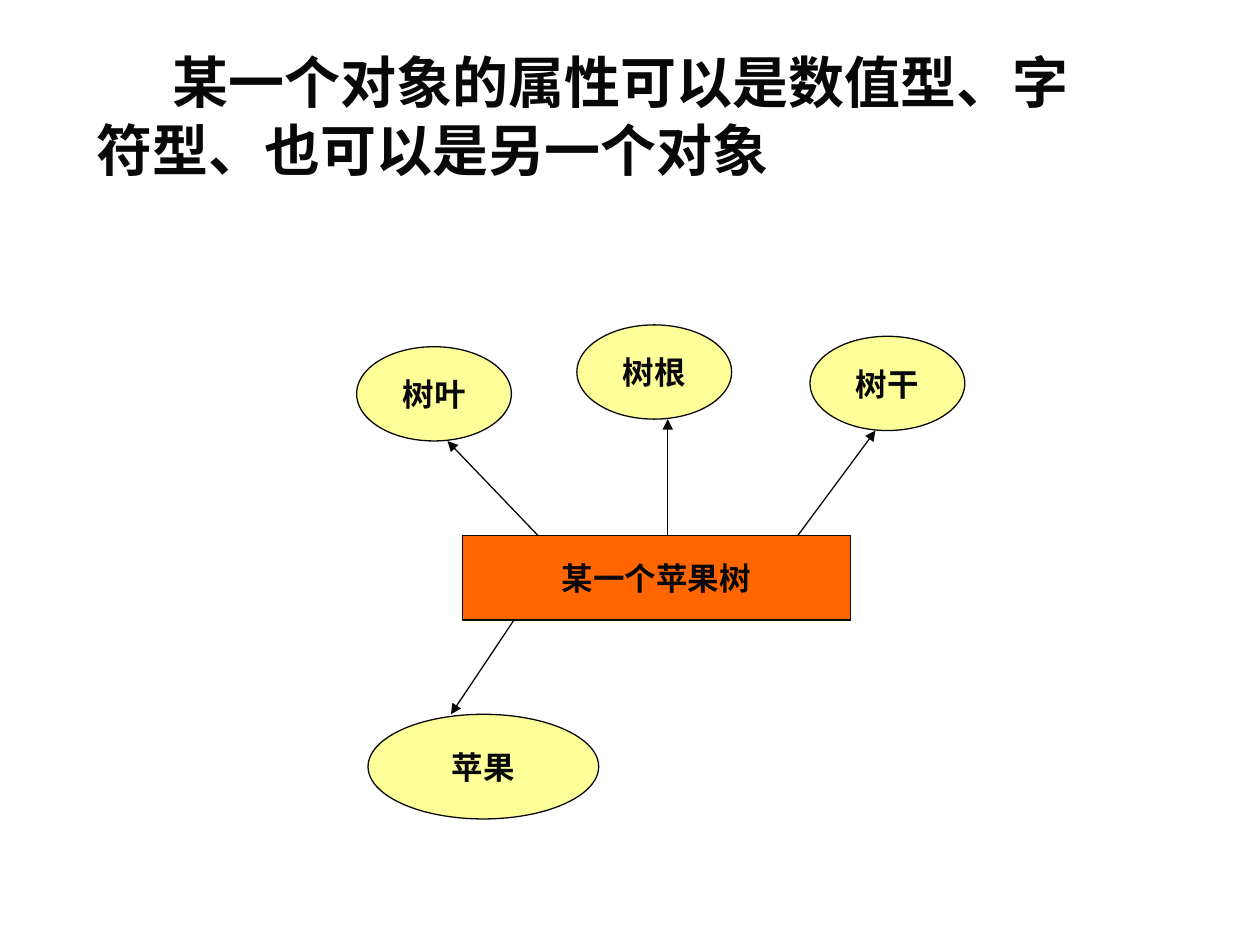
from lxml.etree import SubElement
from pptx import Presentation
from pptx.dml.color import RGBColor
from pptx.enum.shapes import MSO_CONNECTOR, MSO_SHAPE
from pptx.enum.text import MSO_ANCHOR, PP_ALIGN
from pptx.oxml.ns import qn
from pptx.util import Cm, Pt

INK, YELLOW, ORANGE = "080808", "FFFF99", "FF6600"
TITLE = "某一个对象的属性可以是数值型、字符型、也可以是另一个对象"
TITLE_BOX = (1.7, 0.84, 20.75, 2.96)
TITLE_INDENT = 1.53
TREE = ("某一个苹果树", (9.32, 10.8, 7.82, 1.7))
ATTRIBUTES = [
    ("树叶", (7.19, 6.99, 3.12, 1.9), 10.85, 9.02),
    ("树根", (11.63, 6.55, 3.12, 1.9), 13.46, 13.46),
    ("树干", (16.33, 6.78, 3.12, 1.9), 16.08, 17.65),
    ("苹果", (7.42, 14.4, 4.65, 2.11), 10.36, 9.09),
]


def color(hex_string):
    return RGBColor.from_string(hex_string)


def add_text(paragraph, text, size):
    run = paragraph.add_run()
    run.text = text
    run.font.name = "Arial"
    run.font.size = Pt(size)
    run.font.bold = True
    run.font.color.rgb = color(INK)


def outline(part):
    part.line.color.rgb = color(INK)
    part.line.width = Pt(0.75)


def add_node(slide, kind, label, box, fill):
    node = slide.shapes.add_shape(kind, *map(Cm, box))
    node.shadow.inherit = False
    node.fill.solid()
    node.fill.fore_color.rgb = color(fill)
    outline(node)
    frame = node.text_frame
    frame.word_wrap = False
    frame.vertical_anchor = MSO_ANCHOR.MIDDLE
    frame.paragraphs[0].alignment = PP_ALIGN.CENTER
    add_text(frame.paragraphs[0], label, 18)


def add_arrow(slide, start, tip):
    arrow = slide.shapes.add_connector(MSO_CONNECTOR.STRAIGHT, *map(Cm, start + tip))
    outline(arrow)
    SubElement(arrow.line._get_or_add_ln(), qn("a:tailEnd"), type="triangle")
    SubElement(arrow._element.spPr, qn("a:effectLst"))


def add_title(slide):
    frame = slide.shapes.add_textbox(*map(Cm, TITLE_BOX)).text_frame
    frame.word_wrap = True
    heading = frame.paragraphs[0]
    heading._p.get_or_add_pPr().set("indent", str(Cm(TITLE_INDENT)))
    add_text(heading, TITLE, 32)


def main():
    """Draw an apple tree object with arrows to its attributes."""
    deck = Presentation()
    deck.slide_width, deck.slide_height = Cm(25.4), Cm(19.05)
    slide = deck.slides.add_slide(deck.slide_layouts[6])
    tree_label, tree_box = TREE
    tree_top, tree_bottom = tree_box[1], tree_box[1] + tree_box[3]
    for label, box, start_x, tip_x in ATTRIBUTES:
        top, bottom = box[1], box[1] + box[3]
        above = bottom < tree_top
        start_y, tip_y = (tree_top, bottom) if above else (tree_bottom, top)
        add_arrow(slide, (start_x, start_y), (tip_x, tip_y))
        add_node(slide, MSO_SHAPE.OVAL, label, box, YELLOW)
    add_node(slide, MSO_SHAPE.RECTANGLE, tree_label, tree_box, ORANGE)
    add_title(slide)
    deck.save("out.pptx")


if __name__ == "__main__":
    main()
